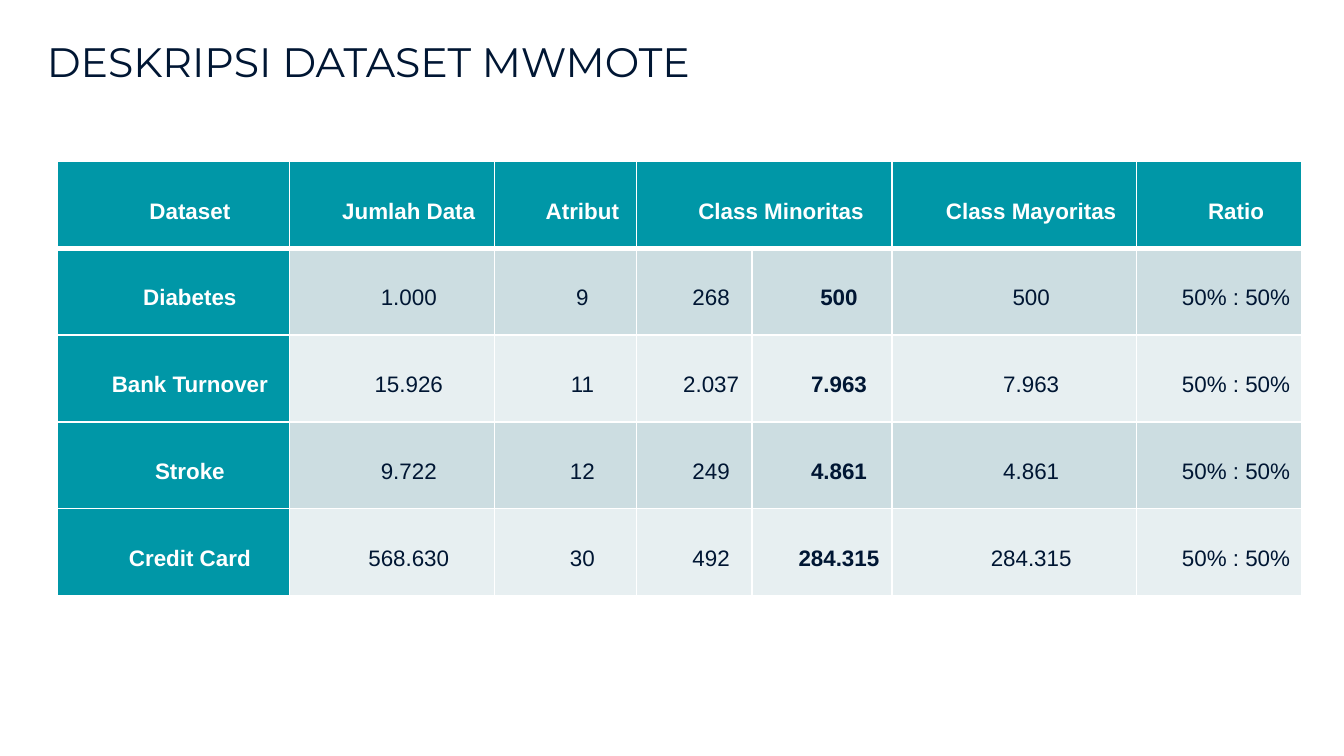
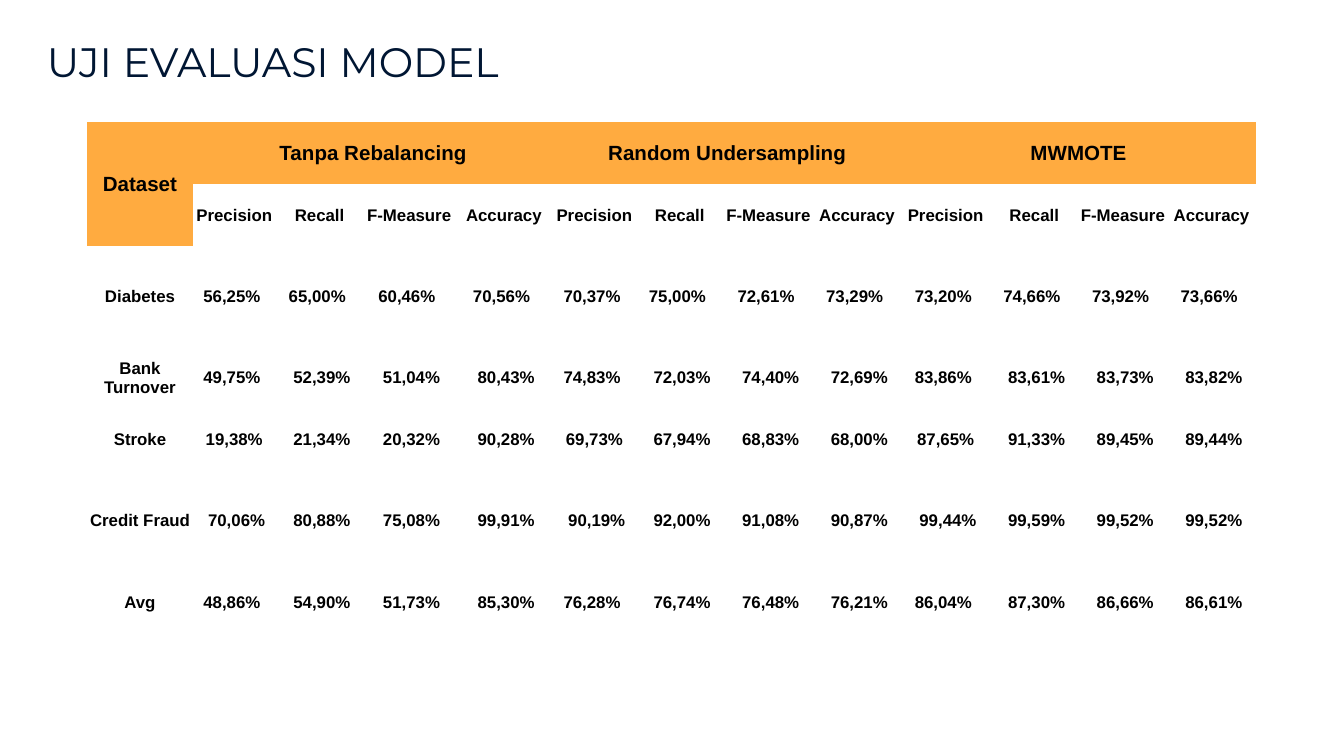
from dataclasses import dataclass
from typing import Optional

from lxml import etree
from pptx import Presentation
from pptx.dml.color import RGBColor
from pptx.enum import text
from pptx.oxml import ns
from pptx.util import Pt

NAVY, TEAL, ORANGE = "001633", "0097A7", "FFAB40"
WHITE, BLACK = "FFFFFF", "000000"
BANDS = ("CCDDE1", "E7EFF1")
TITLE_FONT, BODY_FONT = "Montserrat", "Arial"
PLAIN_TABLE_STYLE = "{2D5ABB26-0587-4C30-8999-92F81FD0307C}"
NBSP = chr(160)


@dataclass
class TableStyle:
    left: float
    top: float
    columns: list[float]
    rows: list[float]
    side_margin: float
    top_margin: float = 0
    indent: float = 0
    line_spacing: float = 1
    border: Optional[str] = None


@dataclass
class Cell:
    words: str
    size: float
    color: str
    bold: bool = True
    fill: Optional[str] = None
    row_span: int = 1
    column_span: int = 1


@dataclass
class Scores:
    """One row of results; ~ in a pattern is a no-break space."""
    dataset: str
    values: str
    precision_pattern: str
    other_pattern: str


Grid = list[list[Optional[Cell]]]

DATASET_HEADINGS = ["Dataset", "Jumlah Data", "Atribut", "Class Minoritas", None,
                    "Class Mayoritas", "Ratio"]
DATASETS = [
    ["Diabetes", "1.000", "9", "268", "500", "500"],
    ["Bank Turnover", "15.926", "11", "2.037", "7.963", "7.963"],
    ["Stroke", "9.722", "12", "249", "4.861", "4.861"],
    ["Credit Card", "568.630", "30", "492", "284.315", "284.315"],
]
RATIO = "50% : 50%"
RESAMPLED_COLUMN = 4

METHODS = ["Tanpa Rebalancing", "Random Undersampling", "MWMOTE"]
METRICS = ["Precision", "Recall", "F-Measure", "Accuracy"]
SCORES = [
    Scores("Diabetes", "56,25 65,00 60,46 70,56 70,37 75,00 72,61 73,29 73,20 74,66 73,92 73,66",
           "{}%~", "{}%~"),
    Scores("Bank Turnover",
           "49,75 52,39 51,04 80,43 74,83 72,03 74,40 72,69 83,86 83,61 83,73 83,82",
           "{}%~", "~{}%"),
    Scores("Stroke", "19,38 21,34 20,32 90,28 69,73 67,94 68,83 68,00 87,65 91,33 89,45 89,44",
           "{}%", "~{}%"),
    Scores("Credit Fraud",
           "70,06 80,88 75,08 99,91 90,19 92,00 91,08 90,87 99,44 99,59 99,52 99,52",
           "~{}%", "~{}%"),
    Scores("Avg", "48,86 54,90 51,73 85,30 76,28 76,74 76,48 76,21 86,04 87,30 86,66 86,61",
           "{}%~", "~{}%"),
]


def rgb(color: str) -> RGBColor:
    return RGBColor.from_string(color)


def add_span(para, words: str, font: str, size: float, color: str, bold: bool = False) -> None:
    span = para.add_run()
    span.text = words
    span.font.name = font
    span.font.size = Pt(size)
    span.font.bold = bold
    span.font.color.rgb = rgb(color)


def add_page(deck, title: str, title_width: float):
    page = deck.slides.add_slide(deck.slide_layouts[6])
    page.background.fill.solid()
    page.background.fill.fore_color.rgb = rgb(WHITE)
    box = page.shapes.add_textbox(Pt(18), Pt(14.4), Pt(title_width), Pt(39))
    frame = box.text_frame
    frame.word_wrap = True
    frame.vertical_anchor = text.MSO_ANCHOR.BOTTOM
    frame.margin_left = frame.margin_right = Pt(7.2)
    frame.margin_top = frame.margin_bottom = Pt(7.2)
    add_span(frame.paragraphs[0], title, TITLE_FONT, 22, NAVY)
    return page


def add_borders(target, color: str, bottom_width: float) -> None:
    """Must run before the cell is filled, as borders come first in the XML."""
    properties = target._tc.get_or_add_tcPr()
    for side, width in (("L", 1), ("R", 1), ("T", 1), ("B", bottom_width)):
        line = etree.SubElement(properties, ns.qn(f"a:ln{side}"), w=str(Pt(width)))
        paint = etree.SubElement(line, ns.qn("a:solidFill"))
        etree.SubElement(paint, ns.qn("a:srgbClr"), val=color)


def write_cell(target, cell: Cell, style: TableStyle, bottom_width: float) -> None:
    target.margin_left = target.margin_right = Pt(style.side_margin)
    target.margin_top, target.margin_bottom = Pt(style.top_margin), Pt(0)
    target.vertical_anchor = text.MSO_ANCHOR.MIDDLE
    if style.border:
        add_borders(target, style.border, bottom_width)
    if cell.fill:
        target.fill.solid()
        target.fill.fore_color.rgb = rgb(cell.fill)
    else:
        target.fill.background()
    para = target.text_frame.paragraphs[0]
    para.alignment = text.PP_ALIGN.CENTER
    para.line_spacing = style.line_spacing
    if style.indent:
        properties = para._p.get_or_add_pPr()
        properties.set("marL", "0")
        properties.set("indent", str(Pt(style.indent)))
    add_span(para, cell.words, BODY_FONT, cell.size, cell.color, cell.bold)


def add_grid(page, style: TableStyle, grid: Grid) -> None:
    frame = page.shapes.add_table(len(style.rows), len(style.columns), Pt(style.left),
                                  Pt(style.top), Pt(sum(style.columns)), Pt(sum(style.rows)))
    frame.element.xpath(".//a:tableStyleId")[0].text = PLAIN_TABLE_STYLE
    table = frame.table
    table.first_row = table.horz_banding = False
    for column, width in zip(table.columns, style.columns):
        column.width = Pt(width)
    for row, height in zip(table.rows, style.rows):
        row.height = Pt(height)
    for r, cells in enumerate(grid):
        for c, cell in enumerate(cells):
            if cell is None:
                continue
            target = table.cell(r, c)
            if cell.row_span > 1 or cell.column_span > 1:
                target.merge(table.cell(r + cell.row_span - 1, c + cell.column_span - 1))
            write_cell(target, cell, style, 3 if r == 0 else 1)


def dataset_grid() -> Grid:
    grid: Grid = [[heading and Cell(heading, 12, WHITE, fill=TEAL,
                                    column_span=2 if heading == "Class Minoritas" else 1)
                   for heading in DATASET_HEADINGS]]
    for index, (name, *values) in enumerate(DATASETS):
        band = BANDS[index % 2]
        grid.append([Cell(name, 12, WHITE, fill=TEAL)] + [
            Cell(value, 12, NAVY, column == RESAMPLED_COLUMN, band)
            for column, value in enumerate(values + [RATIO], 1)])
    return grid


def score_grid() -> Grid:
    methods: list[Optional[Cell]] = [Cell("Dataset", 11, BLACK, fill=ORANGE, row_span=2)]
    for method in METHODS:
        methods.append(Cell(method, 11, BLACK, fill=ORANGE, column_span=len(METRICS)))
        methods += [None] * (len(METRICS) - 1)
    metrics = [None] + [Cell(metric, 9, BLACK) for metric in METRICS * len(METHODS)]
    grid: Grid = [methods, metrics]
    for scores in SCORES:
        row = [Cell(scores.dataset, 9, BLACK)]
        for index, value in enumerate(scores.values.split()):
            is_precision = index % len(METRICS) == 0
            pattern = scores.precision_pattern if is_precision else scores.other_pattern
            row.append(Cell(pattern.format(value).replace("~", NBSP), 9, BLACK))
        grid.append(row)
    return grid


def main() -> None:
    deck = Presentation()
    deck.slide_width, deck.slide_height = Pt(720), Pt(405)

    page = add_page(deck, "DESKRIPSI DATASET MWMOTE", 602)
    add_grid(page, TableStyle(30.5, 86.5, [124.5, 110, 76, 62, 75, 131, 88.5], [46.5] * 5,
                              side_margin=5, indent=18, line_spacing=1.5, border=WHITE),
             dataset_grid())

    page = add_page(deck, "UJI EVALUASI MODEL", 313)
    add_grid(page, TableStyle(46.5, 65.5, [57, 44, 47.5, 48.5, 53, 44] + [47.5] * 7,
                              [33.1, 33.1, 54, 33.1, 33.1, 54, 33.1],
                              side_margin=0.6, top_margin=0.6),
             score_grid())

    deck.save("out.pptx")


if __name__ == "__main__":
    main()
